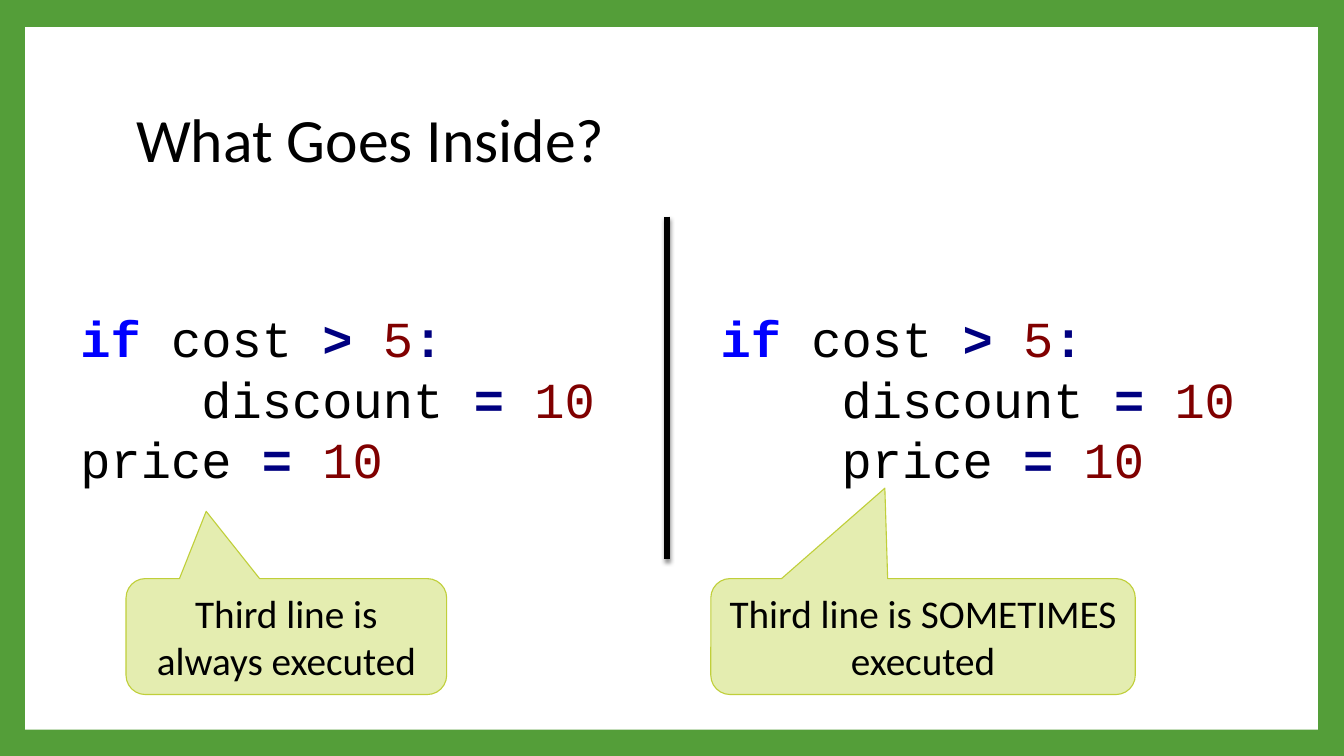
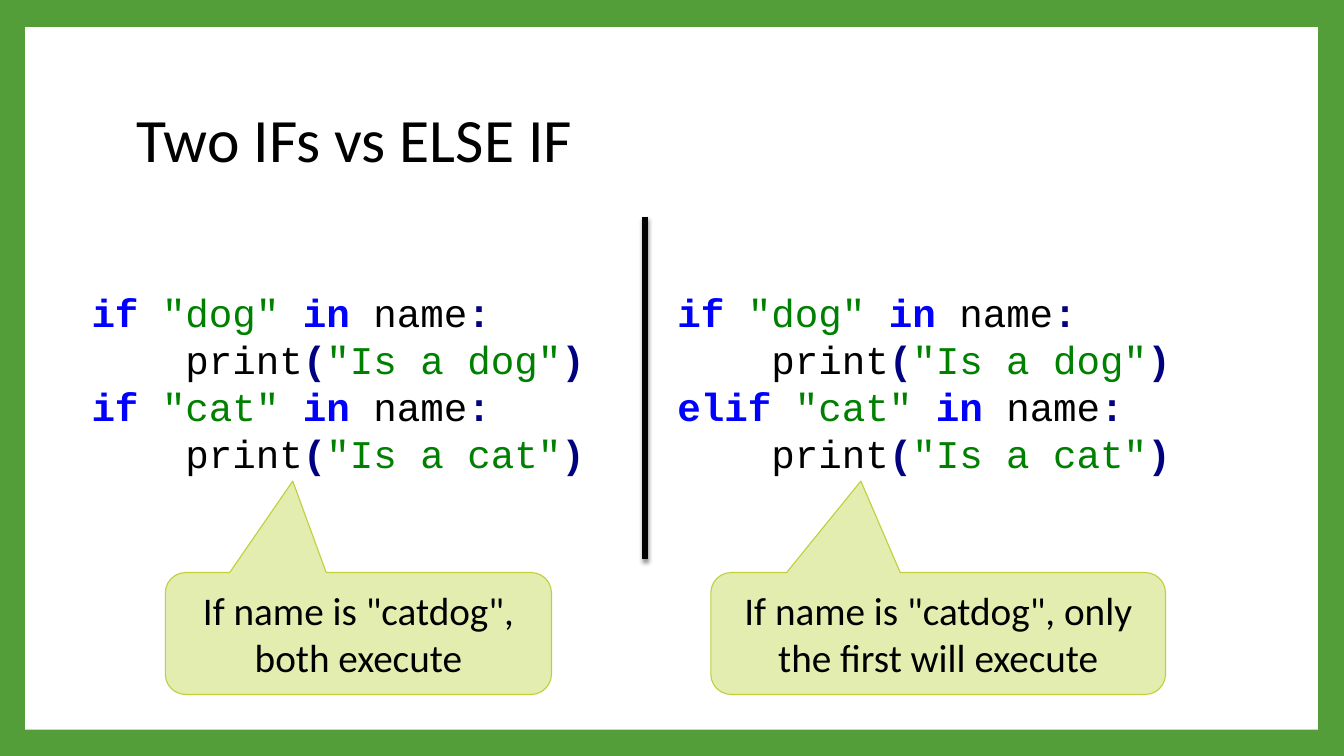
from lxml import etree
from pptx import Presentation
from pptx.dml.color import RGBColor
from pptx.enum.shapes import MSO_CONNECTOR as Line, MSO_SHAPE as Shape
from pptx.enum.text import MSO_ANCHOR as Anchor, MSO_AUTO_SIZE as Fit, PP_ALIGN as Align
from pptx.oxml import parse_xml
from pptx.util import Inches, Pt

GREEN, WHITE, BLACK = "549E39", "FFFFFF", "000000"
PALE, LIME = "E4EDB0", "C0CF3A"
SANS, MONO = "Calibri", "Courier New"

# Token kinds: colour, bold
KEY = ("0000FF", True)
SIGN = ("000080", True)
NUM = ("800000", False)
STR = ("008000", False)
NAME = (BLACK, False)

SHADOW = """<a:effectLst xmlns:a="http://schemas.openxmlformats.org/drawingml/2006/main">
<a:outerShdw blurRad="38100" dist="25400" dir="5400000" rotWithShape="0">
<a:srgbClr val="000000"><a:alpha val="45000"/></a:srgbClr>
</a:outerShdw></a:effectLst>"""


def assign(name):
    return [(name, NAME), ("= ", SIGN), ("10", NUM)]


def test(word, pet):
    return [(word + " ", KEY), (f'"{pet}" ', STR), ("in", KEY), (" name", NAME), (":", SIGN)]


def show(pet):
    return [("    print", NAME), ("(", SIGN), (f'"Is a {pet}"', STR), (")", SIGN)]


COST = [("if", KEY), (" cost ", NAME), ("> ", SIGN), ("5", NUM), (":", SIGN)]
DEAL = assign("    discount ")

# Each side: code left, code lines, note left, note width, note tip, note text
SLIDES = [
    {
        "title": "What Goes Inside?",
        "size": 36, "code_top": 3, "code_height": 1.92, "rule": 6.62,
        "note_top": 5.74, "note_height": 1.15,
        "sides": [
            (0.7, [COST, DEAL, assign("price ")],
             1.25, 3.18, (-0.25, -1.08), "Third line is always executed"),
            (7.05, [COST, DEAL, assign("    price ")],
             7.05, 4.21, (-0.09, -1.28), "Third line is SOMETIMES executed"),
        ],
    },
    {
        "title": "Two IFs vs ELSE IF",
        "size": 28, "code_top": 2.81, "code_height": 1.99, "rule": 6.4,
        "note_top": 5.68, "note_height": 1.21,
        "sides": [
            (0.81, [test("if", "dog"), show("dog"), test("if", "cat"), show("cat")],
             1.64, 3.83, (-0.17, -1.25), 'If name is "catdog", both execute'),
            (6.62, [test("if", "dog"), show("dog"), test("elif", "cat"), show("cat")],
             7.05, 4.51, (-0.17, -1.25),
             'If name is "catdog", only the first will execute'),
        ],
    },
]


def rgb(code):
    return RGBColor.from_string(code)


def box(*sizes):
    return [Inches(size) for size in sizes]


def add_run(para, text, size, face=SANS, color=BLACK, bold=False):
    run = para.add_run()
    run.text = text
    font = run.font
    font.name, font.size, font.bold = face, Pt(size), bold
    font.color.rgb = rgb(color)


def add_shape(slide, kind, at, fill, edge=None):
    shape = slide.shapes.add_shape(kind, *box(*at))
    shape.shadow.inherit = False
    shape.fill.solid()
    shape.fill.fore_color.rgb = rgb(fill)
    if edge:
        shape.line.color.rgb = rgb(edge)
        shape.line.width = Pt(0.79)
    else:
        shape.line.fill.background()
    return shape


def add_title(slide, text):
    frame = slide.shapes.title.text_frame
    frame.vertical_anchor = Anchor.MIDDLE
    para = frame.paragraphs[0]
    para.alignment = Align.LEFT
    para.line_spacing = 0.9
    add_run(para, text, 44)


def add_code(slide, at, lines, size):
    frame = slide.shapes.add_textbox(*box(*at)).text_frame
    frame.word_wrap = True
    frame.auto_size = Fit.SHAPE_TO_FIT_TEXT
    for i, line in enumerate(lines):
        para = frame.add_paragraph() if i else frame.paragraphs[0]
        for text, (color, bold) in line:
            add_run(para, text, size, MONO, color, bold)


def add_note(slide, at, tip, text):
    note = add_shape(slide, Shape.ROUNDED_RECTANGULAR_CALLOUT, at, PALE, LIME)
    note.adjustments[0], note.adjustments[1] = tip
    frame = note.text_frame
    frame.word_wrap = True
    frame.vertical_anchor = Anchor.MIDDLE
    para = frame.paragraphs[0]
    para.alignment = Align.CENTER
    add_run(para, text, 28)


def add_rule(slide, x):
    rule = slide.shapes.add_connector(Line.STRAIGHT, *box(x, 2.15, x, 5.55))
    rule.line.color.rgb = rgb(BLACK)
    rule.line.width = Pt(4.25)
    rule.element.spPr.append(parse_xml(SHADOW))


def set_theme(deck, layout, slide):
    """Put the green frame on the master and place the layout's title."""
    master = deck.slide_master
    master.background.fill.solid()
    master.background.fill.fore_color.rgb = rgb(GREEN)
    panel = add_shape(slide, Shape.RECTANGLE, (0.25, 0.27, 12.82, 6.97), WHITE)
    master.shapes[0].element.addprevious(panel.element)
    title = layout.placeholders[0]
    title.left, title.top, title.width, title.height = box(1.25, 0.67, 10.8, 1.48)


def main():
    deck = Presentation()
    deck.slide_width, deck.slide_height = box(13.33, 7.5)
    layout = deck.slide_layouts[5]
    for i, data in enumerate(SLIDES):
        slide = deck.slides.add_slide(layout)
        if i == 0:
            set_theme(deck, layout, slide)
        add_title(slide, data["title"])
        for left, lines, x, width, tip, text in data["sides"]:
            add_code(slide, (left, data["code_top"], 6.67, data["code_height"]),
                     lines, data["size"])
            add_note(slide, (x, data["note_top"], width, data["note_height"]), tip, text)
        add_rule(slide, data["rule"])
    deck.save("out.pptx")


if __name__ == "__main__":
    main()
